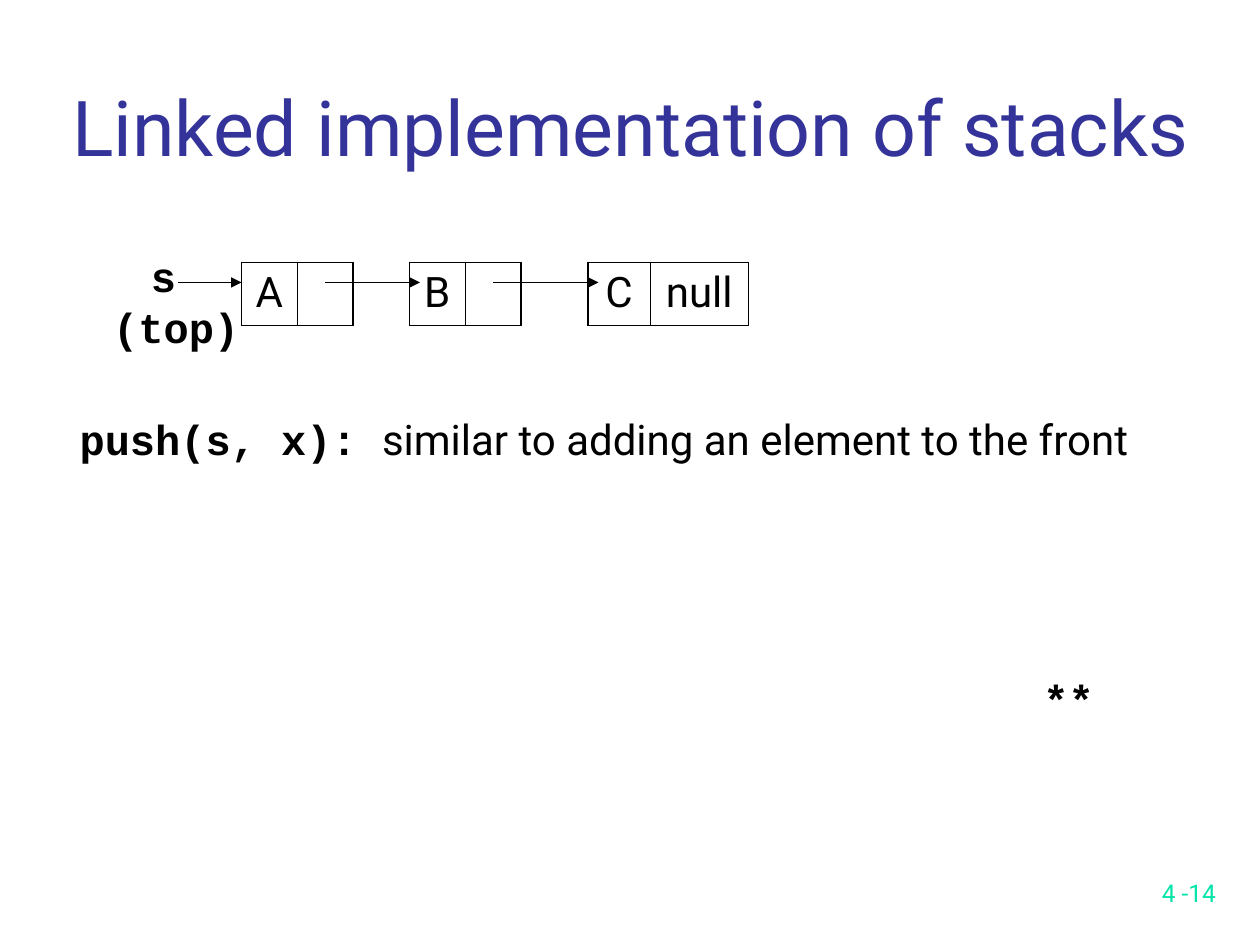
from dataclasses import dataclass
from lxml.etree import SubElement
from pptx import Presentation
from pptx.dml.color import RGBColor
from pptx.enum.shapes import MSO_CONNECTOR
from pptx.enum.text import MSO_ANCHOR, PP_ALIGN
from pptx.oxml import parse_xml
from pptx.oxml.ns import nsdecls, qn
from pptx.util import Inches, Pt


@dataclass(frozen=True)
class Theme:
    ink: str = "000000"
    title: str = "333399"
    footer: str = "00E4A8"
    sans: str = "Roboto"
    code: str = "Courier New"
    title_size: int = 44
    body_size: int = 24
    footer_size: int = 14
    arrow_width: float = 0.75
    border: float = 1.08
    divider: float = 0.45


class SlideBuilder:
    COLUMNS, ROWS = 120, 90

    def __init__(self, presentation, theme):
        self.theme = theme
        self.column = presentation.slide_width / self.COLUMNS
        self.row = presentation.slide_height / self.ROWS
        self.slide = presentation.slides.add_slide(presentation.slide_layouts[6])
        self.sans = {"name": theme.sans, "size": Pt(theme.body_size), "bold": False}
        self.code = {"name": theme.code, "size": Pt(theme.body_size), "bold": True}

    def place(self, left, top, width, height):
        return (round(left * self.column), round(top * self.row),
                round(width * self.column), round(height * self.row))

    def add_run(self, paragraph, text, style, color=None):
        run = paragraph.add_run()
        run.text = text
        for attribute, value in style.items():
            setattr(run.font, attribute, value)
        run.font.color.rgb = RGBColor.from_string(color or self.theme.ink)

    def text(self, box, lines, color=None, align=PP_ALIGN.LEFT,
             anchor=MSO_ANCHOR.TOP, wrap=True, first_indent=0):
        frame = self.slide.shapes.add_textbox(*self.place(*box)).text_frame
        for attribute, value in {"word_wrap": wrap, "vertical_anchor": anchor}.items():
            setattr(frame, attribute, value)
        for index, runs in enumerate(lines):
            paragraph = frame.add_paragraph() if index else frame.paragraphs[0]
            paragraph.alignment = align
            for text, style in runs:
                self.add_run(paragraph, text, style, color)
        if first_indent:
            margin = round(first_indent * self.column)
            frame.paragraphs[0]._p.get_or_add_pPr().set("marL", str(margin))

    def node(self, left, top, height, widths, labels):
        box = self.place(left, top, sum(widths), height)
        table = self.slide.shapes.add_table(1, len(widths), *box).table
        for attribute in ("first_row", "horz_banding"):
            setattr(table, attribute, False)
        last = len(widths) - 1
        for index, (width, label) in enumerate(zip(widths, labels)):
            table.columns[index].width = round(width * self.column)
            cell = table.cell(0, index)
            cell.fill.background()
            paragraph = cell.text_frame.paragraphs[0]
            paragraph.alignment = PP_ALIGN.CENTER
            if label:
                self.add_run(paragraph, label, self.sans)
            self.borders(cell, index == 0, index == last)

    def borders(self, cell, is_first, is_last):
        outer, inner = self.theme.border, self.theme.divider
        sides = {"lnL": outer if is_first else inner,
                 "lnR": outer if is_last else inner,
                 "lnT": outer, "lnB": outer}
        properties = cell._tc.get_or_add_tcPr()
        for index, (side, width) in enumerate(sides.items()):
            properties.insert(index, parse_xml(
                f'<a:{side} {nsdecls("a")} w="{int(Pt(width))}"><a:solidFill>'
                f'<a:srgbClr val="{self.theme.ink}"/></a:solidFill></a:{side}>'))

    def arrow(self, start, end, level):
        left, top, right, bottom = self.place(start, level, end, level)
        connector = self.slide.shapes.add_connector(
            MSO_CONNECTOR.STRAIGHT, left, top, right, bottom)
        connector.line.width = Pt(self.theme.arrow_width)
        connector.line.color.rgb = RGBColor.from_string(self.theme.ink)
        properties = connector._element.spPr
        SubElement(properties.find(qn("a:ln")), qn("a:tailEnd"), type="triangle")
        SubElement(properties, qn("a:effectLst"))


def main():
    presentation = Presentation()
    presentation.slide_width, presentation.slide_height = Inches(10), Inches(7.5)
    theme = Theme()
    builder = SlideBuilder(presentation, theme)
    sans, code = builder.sans, builder.code

    builder.text((92, 81, 25, 6),
                 [[("4 -14", {**sans, "size": Pt(theme.footer_size)})]],
                 theme.footer, PP_ALIGN.RIGHT, MSO_ANCHOR.BOTTOM)

    nodes = [(23, (5.3, 5.3), ("A", "")),
             (39, (5.3, 5.3), ("B", "")),
             (56, (5.9, 9.4), ("C", "null"))]
    for left, widths, labels in nodes:
        builder.node(left, 25, 6, widths, labels)

    builder.text((9.6, 23.3, 14.4, 10.8), [[("s", code)], [("(top)", code)]],
                 wrap=False, first_indent=3.6)
    for start, end in ((17, 23), (31, 40), (47, 57)):
        builder.arrow(start, end, 26.9)

    builder.text((0.2, 5, 119.8, 12),
                 [[("Linked implementation of stacks",
                    {**sans, "size": Pt(theme.title_size)})]],
                 theme.title, PP_ALIGN.CENTER, MSO_ANCHOR.BOTTOM)
    builder.text((6.4, 38.8, 110.2, 6),
                 [[("push(s, x): ", code),
                   ("similar to adding an element to the front", sans)]])
    builder.text((98.2, 63.6, 7.2, 6), [[("**", code)]], wrap=False)

    presentation.save("out.pptx")


if __name__ == "__main__":
    main()
